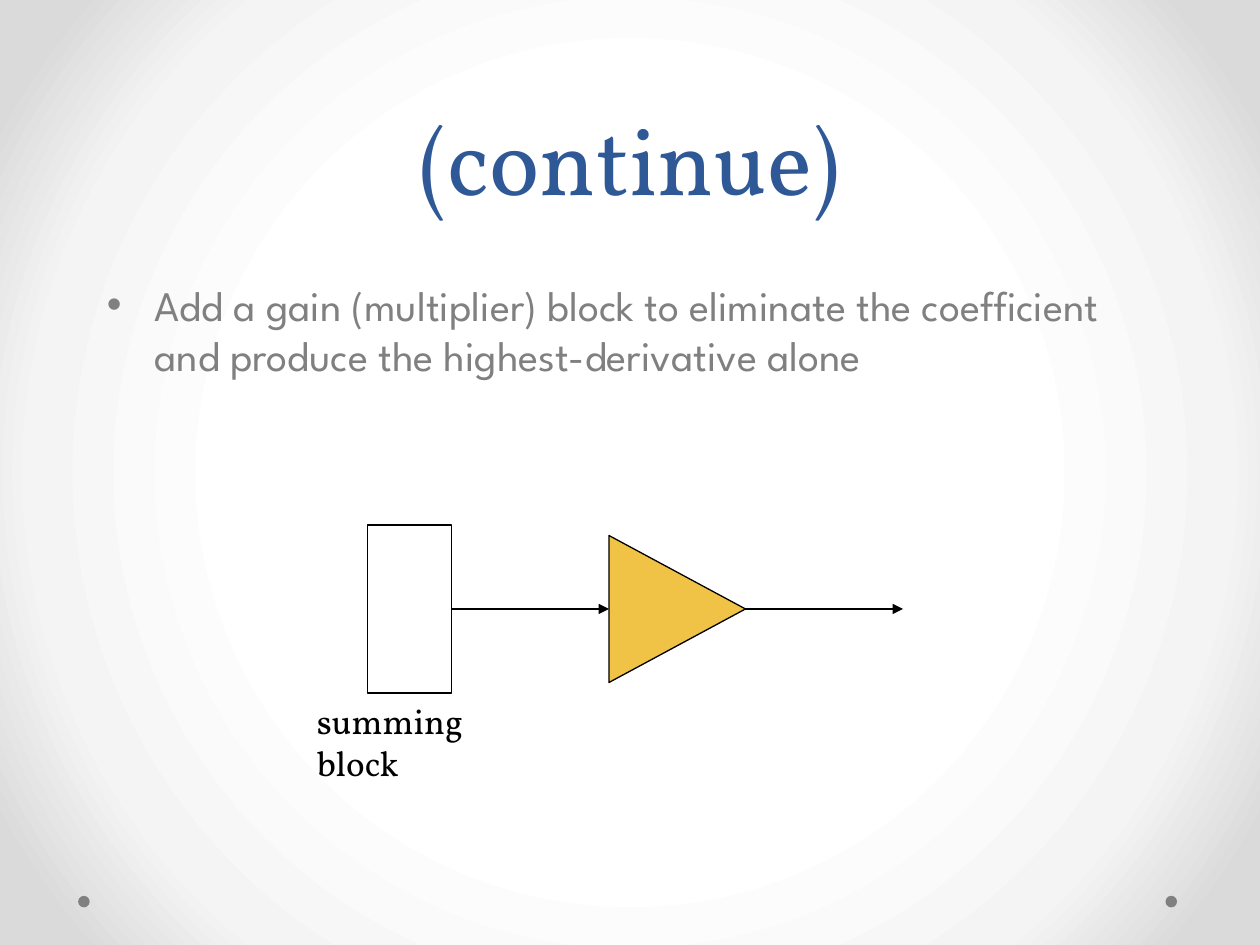
"""Build the slide that adds a gain block after the summing block."""
from dataclasses import dataclass

import pptx
import pptx.dml.color
import pptx.enum.shapes
import pptx.enum.text
import pptx.oxml
import pptx.oxml.ns
import pptx.util
from lxml import etree

SHAPES = pptx.enum.shapes.MSO_SHAPE
ANCHORS = pptx.enum.text.MSO_ANCHOR
ALIGN = pptx.enum.text.PP_ALIGN
qn = pptx.oxml.ns.qn


@dataclass(frozen=True)
class Theme:
    heading_font: str = "Vollkorn"
    body_font: str = "League Spartan"
    title: str = "2F5897"
    muted: str = "808080"
    ink: str = "000000"
    gain: str = "F0C346"
    glow: tuple = ((50, "FFFFFF"), (76, "F4F4F4"), (92, "DADADA"))
    title_size: float = 54
    title_leading: float = 58
    body_size: float = 24
    label_size: float = 20
    stroke: float = 0.75


@dataclass(frozen=True)
class Area:
    col: float
    row: float
    cols: float
    rows: float

    def emu(self) -> list:
        return [grid(n) for n in (self.col, self.row, self.cols, self.rows)]


@dataclass(frozen=True)
class Caption:
    text: str
    area: Area
    font: str
    size: float
    color: str


THEME = Theme()
COLUMNS, ROWS = 120, 90
SIGNAL_ROW = 58
ARROW_COLS = 15
DOT_COLS = (7.44, 111)

TITLE = Caption("(continue)", Area(6, 0, 108, 21),
                THEME.heading_font, THEME.title_size, THEME.title)
ADVICE = Caption("Add a gain (multiplier) block to eliminate the coefficient "
                 "and produce the highest-derivative alone",
                 Area(9, 26, 102, 55),
                 THEME.body_font, THEME.body_size, THEME.muted)
SUMMING_LABEL = Caption("summing block", Area(29, 66, 20, 9.24),
                        THEME.heading_font, THEME.label_size, THEME.ink)
SUMMING = Area(35, SIGNAL_ROW - 8, 8, 16)
GAIN = Area(57.5, SIGNAL_ROW - 6.5, 14, 13)


def grid(units: float) -> int:
    return pptx.util.Inches(units / 12)


def rgb(value: str):
    return pptx.dml.color.RGBColor.from_string(value)


def paint_background(slide) -> None:
    slide.background.fill.gradient()
    gradient = slide.element.find(".//" + qn("a:gradFill"))
    for child in list(gradient):
        gradient.remove(child)
    stops = etree.SubElement(gradient, qn("a:gsLst"))
    for position, color in THEME.glow:
        stop = etree.SubElement(stops, qn("a:gs"), pos=str(position * 1000))
        etree.SubElement(stop, qn("a:srgbClr"), val=color)
    circle = etree.SubElement(gradient, qn("a:path"), path="circle")
    etree.SubElement(circle, qn("a:fillToRect"),
                     {side: "50000" for side in "ltrb"})


def add_block(slide, preset, area: Area, fill: str = "", line: str = ""):
    block = slide.shapes.add_shape(preset, *area.emu())
    block.shadow.inherit = False
    if fill:
        block.fill.solid()
        block.fill.fore_color.rgb = rgb(fill)
    else:
        block.fill.background()
    if line:
        block.line.color.rgb = rgb(line)
        block.line.width = pptx.util.Pt(THEME.stroke)
    else:
        block.line.fill.background()
    return block


def add_signal(slide, start_col: float):
    signal = slide.shapes.add_connector(
        pptx.enum.shapes.MSO_CONNECTOR.STRAIGHT,
        grid(start_col), grid(SIGNAL_ROW),
        grid(start_col + ARROW_COLS), grid(SIGNAL_ROW))
    signal.line.color.rgb = rgb(THEME.ink)
    signal.line.width = pptx.util.Pt(THEME.stroke)
    properties = signal.element.spPr
    etree.SubElement(properties.find(qn("a:ln")), qn("a:tailEnd"), type="triangle")
    etree.SubElement(properties, qn("a:effectLst"))
    return signal


def add_bullet(paragraph) -> None:
    properties = paragraph._p.get_or_add_pPr()
    indent = pptx.util.Inches(0.38)
    properties.set("marL", str(indent))
    properties.set("indent", str(-indent))
    etree.SubElement(properties, qn("a:buFont"), typeface="Arial")
    etree.SubElement(properties, qn("a:buChar"), char="•")


def add_caption(slide, caption: Caption, anchor=ANCHORS.TOP,
                align=ALIGN.LEFT, leading: float = 0, bullet: bool = False) -> None:
    frame = slide.shapes.add_textbox(*caption.area.emu()).text_frame
    frame.word_wrap = True
    frame.vertical_anchor = anchor
    paragraph = frame.paragraphs[0]
    paragraph.text = caption.text
    paragraph.alignment = align
    if leading:
        paragraph.line_spacing = pptx.util.Pt(leading)
    if bullet:
        add_bullet(paragraph)
    paragraph.font.name = caption.font
    paragraph.font.size = pptx.util.Pt(caption.size)
    paragraph.font.color.rgb = rgb(caption.color)


def main() -> None:
    deck = pptx.Presentation()
    deck.slide_width, deck.slide_height = grid(COLUMNS), grid(ROWS)
    slide = deck.slides.add_slide(deck.slide_layouts[6])
    paint_background(slide)
    for col in DOT_COLS:
        add_block(slide, SHAPES.OVAL, Area(col, 85.32, 1.1, 1.1), fill=THEME.muted)

    add_caption(slide, TITLE, ANCHORS.BOTTOM, ALIGN.CENTER, THEME.title_leading)
    add_caption(slide, ADVICE, bullet=True)

    summing = add_block(slide, SHAPES.RECTANGLE, SUMMING, line=THEME.ink)
    summed = add_signal(slide, SUMMING.col + SUMMING.cols)
    summed.begin_connect(summing, 3)
    gain = add_block(slide, SHAPES.ISOSCELES_TRIANGLE, GAIN, THEME.gain, THEME.ink)
    gain.rotation = 90
    add_signal(slide, GAIN.col + (GAIN.cols + GAIN.rows) / 2)
    add_caption(slide, SUMMING_LABEL)

    deck.save("out.pptx")


if __name__ == "__main__":
    main()
